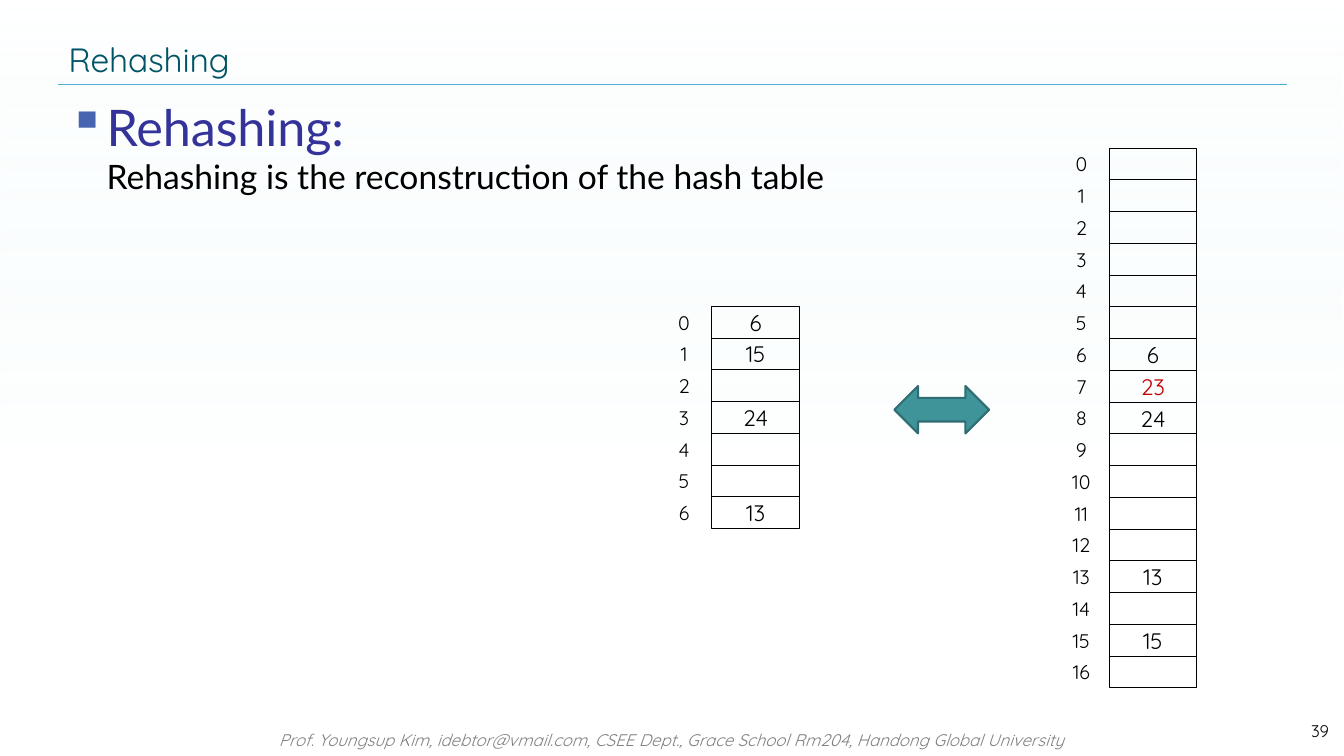
import pptx
import pptx.util
import pptx.dml.color
import pptx.enum.shapes
import pptx.enum.text
import pptx.oxml.ns
import lxml.etree

Inches, Pt = pptx.util.Inches, pptx.util.Pt
RGBColor = pptx.dml.color.RGBColor
Shape = pptx.enum.shapes.MSO_SHAPE
Align = pptx.enum.text.PP_ALIGN
Anchor = pptx.enum.text.MSO_ANCHOR
qn = pptx.oxml.ns.qn

# Content
TITLE = "Rehashing"
HEADING = "Rehashing: "
DEFINITION = "Rehashing\u00a0is the reconstruction of the hash table"
FOOTER = ("Prof. Youngsup Kim, idebtor@vmail.com, CSEE Dept., "
          "Grace School Rm204, Handong Global University")
PAGE_NUMBER = "39"
HASH_TABLES = [  # left edge, top edge, number of buckets, stored keys
    (6.51, 3.04, 7, {0: 6, 1: 15, 3: 24, 6: 13}),
    (10.45, 1.47, 17, {6: 6, 7: 23, 8: 24, 13: 13, 15: 15}),
]
NEW_KEY = 23

# Style
BLACK = RGBColor(0x00, 0x00, 0x00)
WHITE = RGBColor(0xFF, 0xFF, 0xFF)
GRAY = RGBColor(0x80, 0x80, 0x80)
RED = RGBColor(0xC0, 0x00, 0x00)
INDIGO = RGBColor(0x33, 0x33, 0x9A)
DARK_TEAL = RGBColor(0x00, 0x54, 0x66)
TEAL = RGBColor(0x3F, 0x94, 0x9A)
TEAL_EDGE = RGBColor(0x2F, 0x6D, 0x72)
SKY = RGBColor(0x4F, 0xAD, 0xD1)
MIST = RGBColor(0xD9, 0xF3, 0xF4)
BULLET_COLOR = "4764B0"
FONT, BODY_FONT = "Quicksand", "Lato"

# Layout in inches
WIDTH, HEIGHT = 13.33, 7.5
MARGIN, CONTENT_WIDTH = 0.58, 12.18
INDEX_WIDTH, BUCKET_WIDTH, BUCKET_HEIGHT = 0.55, 0.87, 0.315
CELL_INSET = 0.04

presentation = pptx.Presentation()
presentation.slide_width, presentation.slide_height = Inches(WIDTH), Inches(HEIGHT)
slide = presentation.slides.add_slide(presentation.slide_layouts[6])


def style_run(run, size, color, font=FONT, italic=False, spacing=0):
    run.font.size, run.font.name, run.font.italic = Pt(size), font, italic
    run.font.color.rgb = color
    if spacing:
        run.font._element.set("spc", str(spacing))


def write(shape, text, size, color, align, anchor=Anchor.MIDDLE, inset=None, **style):
    frame = shape.text_frame
    frame.word_wrap = True
    frame.vertical_anchor = anchor
    if inset is not None:
        frame.margin_left = frame.margin_right = Inches(inset)
        frame.margin_top = frame.margin_bottom = Inches(inset)
    paragraph = frame.paragraphs[0]
    paragraph.text = text
    paragraph.alignment = align
    for run in paragraph.runs:
        style_run(run, size, color, **style)
    return paragraph


def add_text(box, *content, **style):
    textbox = slide.shapes.add_textbox(*map(Inches, box))
    return write(textbox, *content, **style)


def add_shape(kind, box, line_color=None, line_width=0.75):
    shape = slide.shapes.add_shape(kind, *map(Inches, box))
    shape.shadow.inherit = False
    shape.fill.background()
    if line_color is None:
        shape.line.fill.background()
    else:
        shape.line.color.rgb = line_color
        shape.line.width = Pt(line_width)
    return shape


# Background tint
backdrop = add_shape(Shape.RECTANGLE, (0, 0, WIDTH, HEIGHT))
backdrop.fill.gradient()
backdrop.fill.gradient_angle = 270
for stop, position, color, opacity in zip(
        backdrop.fill.gradient_stops, (0, 0.61), (MIST, WHITE), (0, 40)):
    stop.position = position
    stop.color.rgb = color
    color_element = backdrop._element.findall(".//" + qn("a:srgbClr"))[-1 if position else 0]
    lxml.etree.SubElement(color_element, qn("a:alpha")).set("val", str(opacity * 1000))

# Footer, title rule, title and page number
add_text((1.98, 7.19, 9.37, 0.3), FOOTER, 12, GRAY, Align.CENTER,
         anchor=Anchor.TOP, italic=True)
rule = slide.shapes.add_connector(
    pptx.enum.shapes.MSO_CONNECTOR.STRAIGHT,
    *map(Inches, (MARGIN, 0.84, MARGIN + CONTENT_WIDTH, 0.84)))
rule.line.color.rgb = SKY
rule.line.width = Pt(0.25)
lxml.etree.SubElement(rule._element.spPr, qn("a:effectLst"))
add_text((MARGIN, 0.34, CONTENT_WIDTH, 0.5), TITLE, 24, DARK_TEAL, Align.LEFT, spacing=-10)
add_text((12.11, 7.05, 1.17, 0.4), PAGE_NUMBER, 12, BLACK, Align.RIGHT)

# Bulleted definition
body = add_text((MARGIN, 0.9, CONTENT_WIDTH, 6.15), HEADING + "\v" + DEFINITION,
                24, BLACK, Align.LEFT, anchor=Anchor.TOP, font=BODY_FONT)
style_run(body.runs[0], 36, INDIGO, BODY_FONT, spacing=-10)
body.space_before = Pt(7)
properties = body._element.get_or_add_pPr()
properties.set("marL", str(Inches(0.38)))
properties.set("indent", str(-Inches(0.38)))
bullet_color = lxml.etree.SubElement(properties, qn("a:buClr"))
lxml.etree.SubElement(bullet_color, qn("a:srgbClr")).set("val", BULLET_COLOR)
lxml.etree.SubElement(properties, qn("a:buChar")).set("char", "▪")

# Hash tables: an index beside each bucket
for left, top, bucket_count, keys in HASH_TABLES:
    for index in range(bucket_count):
        y = top + index * BUCKET_HEIGHT
        add_text((left, y, INDEX_WIDTH, BUCKET_HEIGHT), str(index), 14, BLACK,
                 Align.CENTER, inset=CELL_INSET)
        bucket = add_shape(Shape.RECTANGLE,
                           (left + INDEX_WIDTH, y, BUCKET_WIDTH, BUCKET_HEIGHT), BLACK)
        if index in keys:
            key_color = RED if keys[index] == NEW_KEY else BLACK
            write(bucket, str(keys[index]), 16, key_color, Align.CENTER, inset=CELL_INSET)

# Arrow between the tables
arrow = add_shape(Shape.LEFT_RIGHT_ARROW, (8.87, 3.83, 0.94, 0.47), TEAL_EDGE, 1.5)
arrow.fill.solid()
arrow.fill.fore_color.rgb = TEAL

presentation.save("out.pptx")
